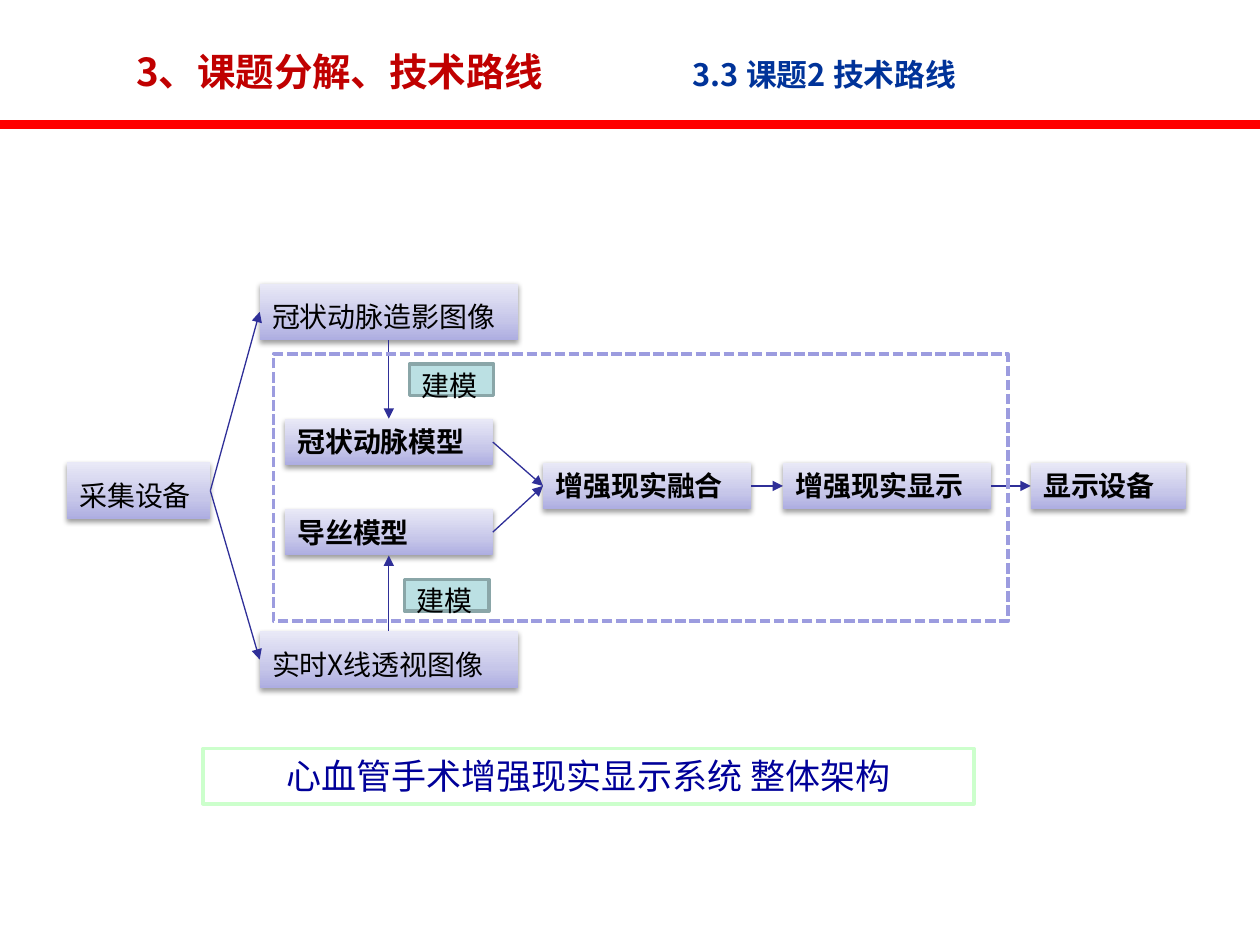
"""Build the system architecture slide for the augmented reality project."""
import copy
from dataclasses import dataclass

from pptx import Presentation
from pptx import util as u
from pptx.dml.color import RGBColor
from pptx.enum import dml, shapes, text
from pptx.oxml import parse_xml
from pptx.oxml.ns import nsdecls, qn

Pt = u.Pt
CJK = "Noto Sans CJK SC"
COLORS = {
    "rule": "FF0000", "title": "C00000", "subtitle": "003399",
    "black": "000000", "white": "FFFFFF", "caption": "000099",
    "caption_line": "CCFFCC", "label": "BBE0E3", "label_line": "8AA6A8",
    "arrow": "2F2F98", "frame": "9C9CDF",
}
GRADIENT = [(0, "ADADE1"), (0.35, "C6C6E9"), (1, "E9E9F7")]
TOP, LEFT, BOTTOM, RIGHT = range(4)


@dataclass
class Box:
    key: str
    words: str
    x: float
    y: float
    w: float
    model: bool = True


@dataclass
class Arrow:
    start: str
    start_site: int
    end: str
    end_site: int


BOXES = [
    Box("capture", "采集设备", 38.2, 264.2, 82, False),
    Box("angiogram", "冠状动脉造影图像", 148.4, 162, 147.6, False),
    Box("xray", "实时X线透视图像", 148.4, 360.7, 147.6, False),
    Box("artery", "冠状动脉模型", 162.8, 239.3, 118.8),
    Box("wire", "导丝模型", 162.8, 290.8, 118.8),
    Box("fusion", "增强现实融合", 310.3, 264.4, 118.8),
    Box("display", "增强现实显示", 447.5, 264.4, 118.8),
    Box("device", "显示设备", 589, 264.4, 88.6),
]
ARROWS = [
    Arrow("capture", RIGHT, "angiogram", LEFT),
    Arrow("capture", RIGHT, "xray", LEFT),
    Arrow("angiogram", BOTTOM, "artery", TOP),
    Arrow("xray", TOP, "wire", BOTTOM),
    Arrow("artery", RIGHT, "fusion", LEFT),
    Arrow("wire", RIGHT, "fusion", LEFT),
    Arrow("fusion", RIGHT, "display", LEFT),
    Arrow("display", RIGHT, "device", LEFT),
]
LABELS = [(234, 208), (231.2, 331.2)]


def rgb(name: str) -> RGBColor:
    return RGBColor.from_string(COLORS[name])


def add_run(p, words: str, size: float, color: str, font: str = CJK, bold: bool = False) -> None:
    r = p.add_run()
    r.text = words
    r.font.size, r.font.bold, r.font.name = Pt(size), bold, font
    r.font.color.rgb = rgb(color)
    r.font.fill._xPr.find(qn("a:latin")).addnext(
        parse_xml(f'<a:ea {nsdecls("a")} typeface="{CJK}"/>'))


def add_rect(s, x: float, y: float, w: float, h: float, fill: str = "", line: str = ""):
    sp = s.shapes.add_shape(shapes.MSO_SHAPE.RECTANGLE, Pt(x), Pt(y), Pt(w), Pt(h))
    sp.shadow.inherit = False
    if fill:
        sp.fill.solid()
        sp.fill.fore_color.rgb = rgb(fill)
    else:
        sp.fill.background()
    if line:
        sp.line.color.rgb = rgb(line)
        sp.line.width = Pt(2)
    else:
        sp.line.fill.background()
    return sp


def write(sp, words: str, size: float, color: str = "black", font: str = CJK, bold: bool = False,
          align=text.PP_ALIGN.LEFT, spacing: float = 1.0, grow: bool = True) -> None:
    tf = sp.text_frame
    tf.word_wrap = True
    tf.vertical_anchor = text.MSO_ANCHOR.TOP if grow else text.MSO_ANCHOR.MIDDLE
    tf.auto_size = text.MSO_AUTO_SIZE.SHAPE_TO_FIT_TEXT if grow else text.MSO_AUTO_SIZE.NONE
    p = tf.paragraphs[0]
    p.alignment, p.line_spacing = align, spacing
    add_run(p, words, size, color, font, bold)


def add_box(s, box: Box):
    sp = add_rect(s, box.x, box.y, box.w, 26.6 if box.model else 32.4)
    sp.fill.gradient()
    sp.fill.gradient_angle = 90
    stops = sp.element.spPr.find(".//" + qn("a:gsLst"))
    stops.insert(1, copy.deepcopy(stops[0]))
    for stop, (position, color) in zip(sp.fill.gradient_stops, GRADIENT):
        stop.position = position
        stop.color.rgb = RGBColor.from_string(color)
    sp.element.spPr.find(qn("a:effectLst")).append(parse_xml(
        f'<a:outerShdw {nsdecls("a")} blurRad="{Pt(3.1)}" dist="{Pt(1.6)}" dir="5400000" '
        f'rotWithShape="0"><a:srgbClr val="{COLORS["black"]}"><a:alpha val="38000"/>'
        '</a:srgbClr></a:outerShdw>'))
    if box.model:
        write(sp, box.words, 16, font="Arial", bold=True)
    else:
        write(sp, box.words, 16, spacing=1.3)
    return sp


def add_line(s, x1: float, y1: float, x2: float, y2: float, color: str, width: float):
    line = s.shapes.add_connector(shapes.MSO_CONNECTOR.STRAIGHT, Pt(x1), Pt(y1), Pt(x2), Pt(y2))
    line.line.color.rgb = rgb(color)
    line.line.width = Pt(width)
    line.element.spPr.append(parse_xml(f'<a:effectLst {nsdecls("a")}/>'))
    return line


def add_arrow(s, arrow: Arrow, nodes: dict) -> None:
    line = add_line(s, 0, 0, 0, 0, "arrow", 0.75)
    line.begin_connect(nodes[arrow.start], arrow.start_site)
    line.end_connect(nodes[arrow.end], arrow.end_site)
    line.element.spPr.find(qn("a:ln")).append(
        parse_xml(f'<a:tailEnd {nsdecls("a")} type="triangle"/>'))


def add_title(s) -> None:
    sp = s.shapes.title
    sp.left, sp.top, sp.width, sp.height = Pt(70.6), Pt(15.1), Pt(589.7), Pt(51.1)
    write(sp, "3、课题分解、技术路线", 22, "title", bold=True, grow=False)
    p = sp.text_frame.paragraphs[0]
    add_run(p, "\t3.3 课题2 技术路线", 17.6, "subtitle", bold=True)
    p._p.get_or_add_pPr().append(parse_xml(
        f'<a:tabLst {nsdecls("a")}><a:tab pos="{Pt(318)}" algn="l"/></a:tabLst>'))


def main() -> None:
    prs = Presentation()
    prs.slide_width, prs.slide_height = Pt(720), Pt(540)
    s = prs.slides.add_slide(prs.slide_layouts[5])
    add_line(s, 0, 71.3, 720, 71.3, "rule", 5)
    add_title(s)
    caption = add_rect(s, 116, 427.7, 440.6, 31.7, "white", "caption_line")
    write(caption, "心血管手术增强现实显示系统 整体架构", 20, "caption", align=text.PP_ALIGN.CENTER)
    nodes = {box.key: add_box(s, box) for box in BOXES}
    for arrow in ARROWS:
        add_arrow(s, arrow, nodes)
    for x, y in LABELS:
        label = add_rect(s, x, y, 48.2, 18, "label", "label_line")
        write(label, "建模", 16, spacing=1.3, grow=False)
    frame = add_rect(s, 156.2, 202.3, 419.8, 152.6, line="frame")
    frame.line.dash_style = dml.MSO_LINE.SQUARE_DOT
    prs.save("out.pptx")


main()
